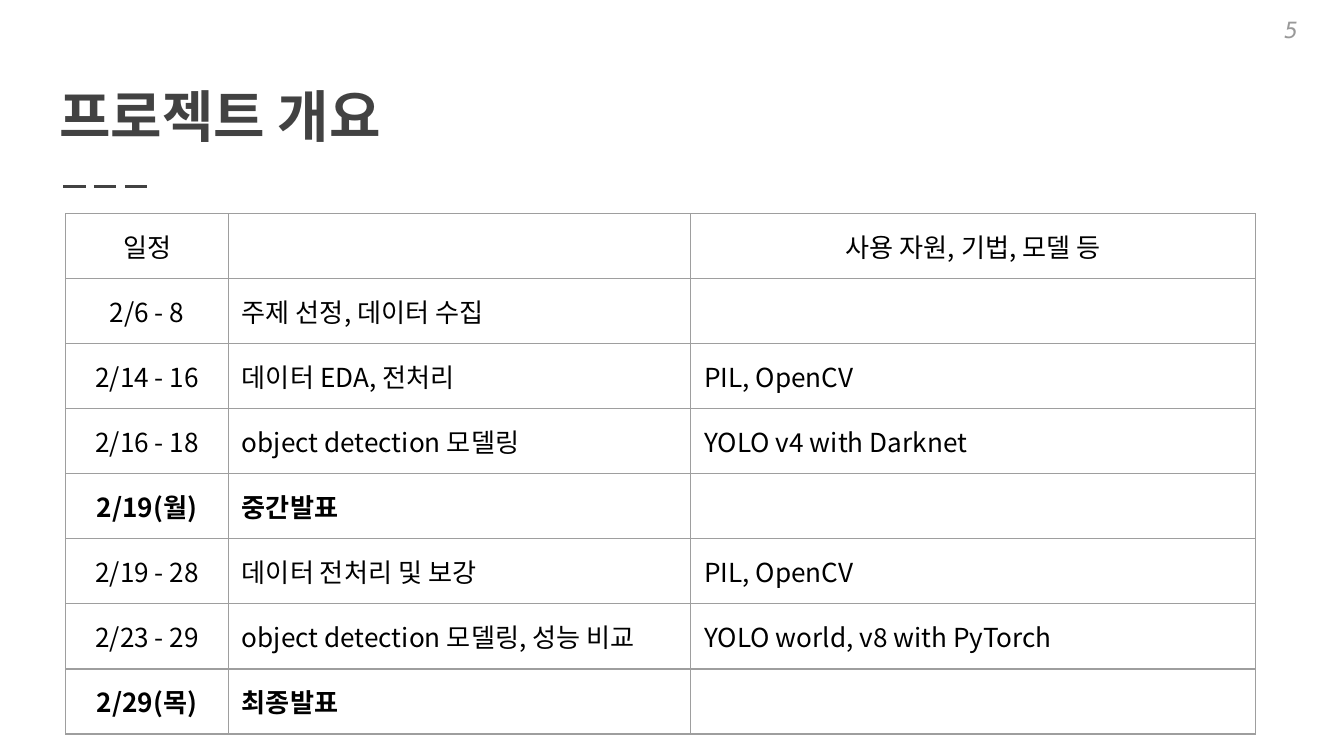
from lxml import etree
from pptx import Presentation
from pptx import util as u
from pptx.dml import color
from pptx.enum import dml, shapes, text
from pptx.oxml import ns

ROWS = [
    ("일정", "", "사용 자원, 기법, 모델 등"),
    ("2/6 - 8", "주제 선정, 데이터 수집", ""),
    ("2/14 - 16", "데이터 EDA, 전처리", "PIL, OpenCV"),
    ("2/16 - 18", "object detection 모델링", "YOLO v4 with Darknet"),
    ("2/19(월)", "중간발표", ""),
    ("2/19 - 28", "데이터 전처리 및 보강", "PIL, OpenCV"),
    ("2/23 - 29", "object detection 모델링, 성능 비교", "YOLO world, v8 with PyTorch"),
    ("2/29(목)", "최종발표", ""),
]
PRESENTATION_ROWS = (4, 7)
COLUMN_WIDTHS = (1.21, 3.44, 4.2)
ROW_HEIGHT = 0.42
SLIDE_WIDTH = 10


def rgb(value):
    return color.RGBColor.from_string(value)


def write(frame, content, size=14, font="Noto Sans CJK KR", fill="000000",
          bold=False, italic=False, align=text.PP_ALIGN.LEFT):
    paragraph = frame.paragraphs[0]
    paragraph.alignment = align
    if not content:
        # An empty paragraph takes its line height from its end mark.
        paragraph._p.get_or_add_endParaRPr().set("sz", str(size * 100))
        return
    run = paragraph.add_run()
    run.text = content
    run.font.size = u.Pt(size)
    run.font.name = font
    run.font.bold = bold
    run.font.italic = italic
    run.font.color.rgb = rgb(fill)
    east_asian = etree.SubElement(run.font._element, ns.qn("a:ea"))
    east_asian.set("typeface", font)


def set_margins(target):
    target.margin_left = target.margin_right = u.Inches(0.1)
    target.margin_top = target.margin_bottom = u.Inches(0.1)


class ScheduleSlide:
    ink = "424242"
    border = "9E9E9E"
    page_color = "999999"

    def __init__(self, presentation):
        self.slide = presentation.slides.add_slide(presentation.slide_layouts[5])

    def title(self, content, left, top, width, height):
        title = self.slide.shapes.title
        title.left, title.top = u.Inches(left), u.Inches(top)
        title.width, title.height = u.Inches(width), u.Inches(height)
        frame = title.text_frame
        frame.auto_size = text.MSO_AUTO_SIZE.NONE
        frame.vertical_anchor = text.MSO_ANCHOR.BOTTOM
        set_margins(frame)
        write(frame, content, size=30, fill=self.ink, bold=True)

    def dashed_rule(self, left, right, top):
        rule = self.slide.shapes.add_connector(
            shapes.MSO_CONNECTOR.STRAIGHT,
            u.Inches(left), u.Inches(top), u.Inches(right), u.Inches(top))
        rule.line.color.rgb = rgb(self.ink)
        rule.line.width = u.Pt(1.5)
        rule.line.dash_style = dml.MSO_LINE.LONG_DASH
        etree.SubElement(rule._element.spPr, ns.qn("a:effectLst"))

    def cell_borders(self, cell):
        properties = cell._tc.get_or_add_tcPr()
        for index, side in enumerate(("lnL", "lnR", "lnT", "lnB")):
            line = etree.Element(ns.qn(f"a:{side}"), w=str(u.Pt(0.75)))
            solid = etree.SubElement(line, ns.qn("a:solidFill"))
            etree.SubElement(solid, ns.qn("a:srgbClr"), val=self.border)
            properties.insert(index, line)

    def table(self, rows, left, top):
        table = self.slide.shapes.add_table(
            len(rows), len(COLUMN_WIDTHS), u.Inches(left), u.Inches(top),
            u.Inches(sum(COLUMN_WIDTHS)), u.Inches(ROW_HEIGHT * len(rows))).table
        table.first_row = table.horz_banding = False
        for column, width in zip(table.columns, COLUMN_WIDTHS):
            column.width = u.Inches(width)
        for r, values in enumerate(rows):
            table.rows[r].height = u.Inches(ROW_HEIGHT)
            for c, value in enumerate(values):
                cell = table.cell(r, c)
                set_margins(cell)
                cell.fill.background()
                self.cell_borders(cell)
                centred = r == 0 or c == 0
                write(cell.text_frame, value, bold=r in PRESENTATION_ROWS,
                      align=text.PP_ALIGN.CENTER if centred else text.PP_ALIGN.LEFT)

    def page_number(self, number, left, top, width, height):
        box = self.slide.shapes.add_textbox(
            u.Inches(left), u.Inches(top), u.Inches(width), u.Inches(height))
        frame = box.text_frame
        frame.word_wrap = True
        frame.auto_size = text.MSO_AUTO_SIZE.SHAPE_TO_FIT_TEXT
        set_margins(frame)
        write(frame, number, size=12, font="DejaVu Sans Mono",
              fill=self.page_color, italic=True)


def main():
    presentation = Presentation()
    presentation.slide_width = u.Inches(SLIDE_WIDTH)
    presentation.slide_height = u.Inches(SLIDE_WIDTH * 9 / 16)
    schedule = ScheduleSlide(presentation)
    schedule.dashed_rule(0.47, 1.14, 1.39)
    schedule.title("프로젝트 개요", 0.34, 0.41, 9.32, 0.8)
    schedule.table(ROWS, 0.49, 1.59)
    schedule.page_number("5", 9.46, 0.02, 0.51, 0.4)
    presentation.save("out.pptx")


if __name__ == "__main__":
    main()
